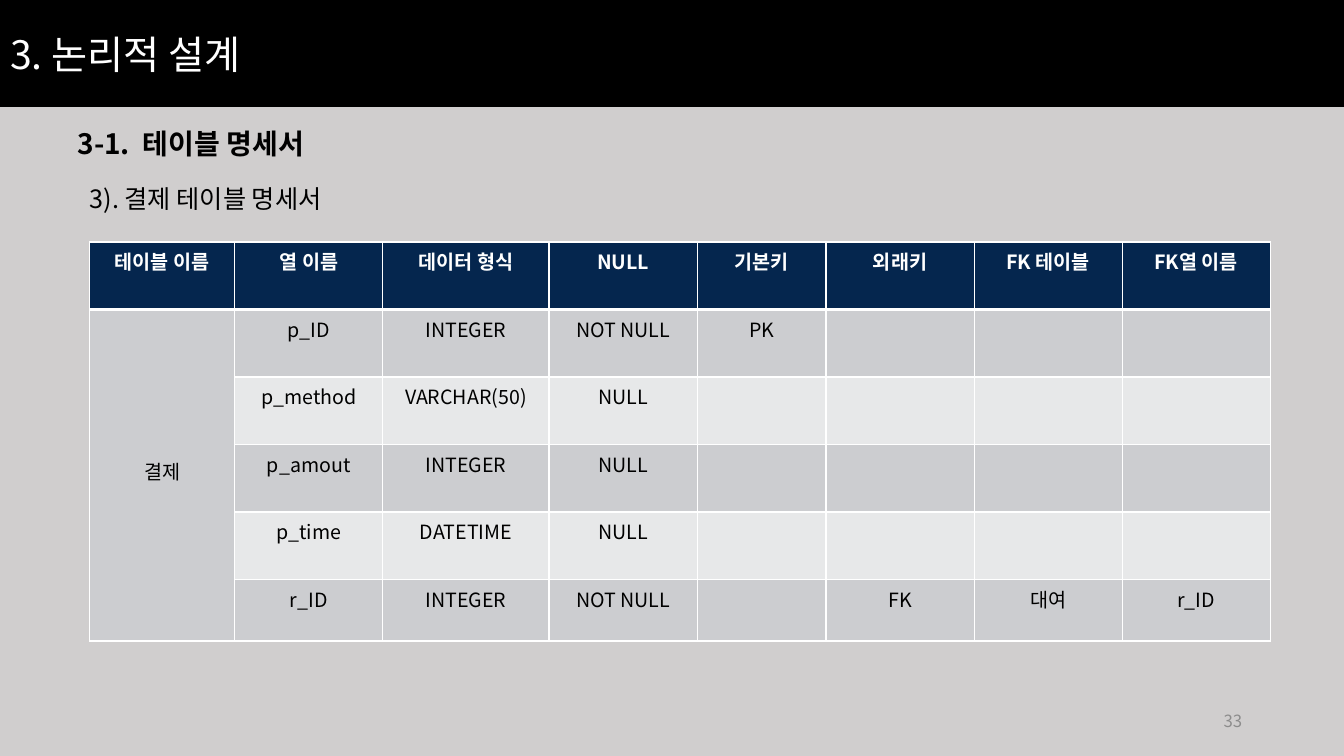
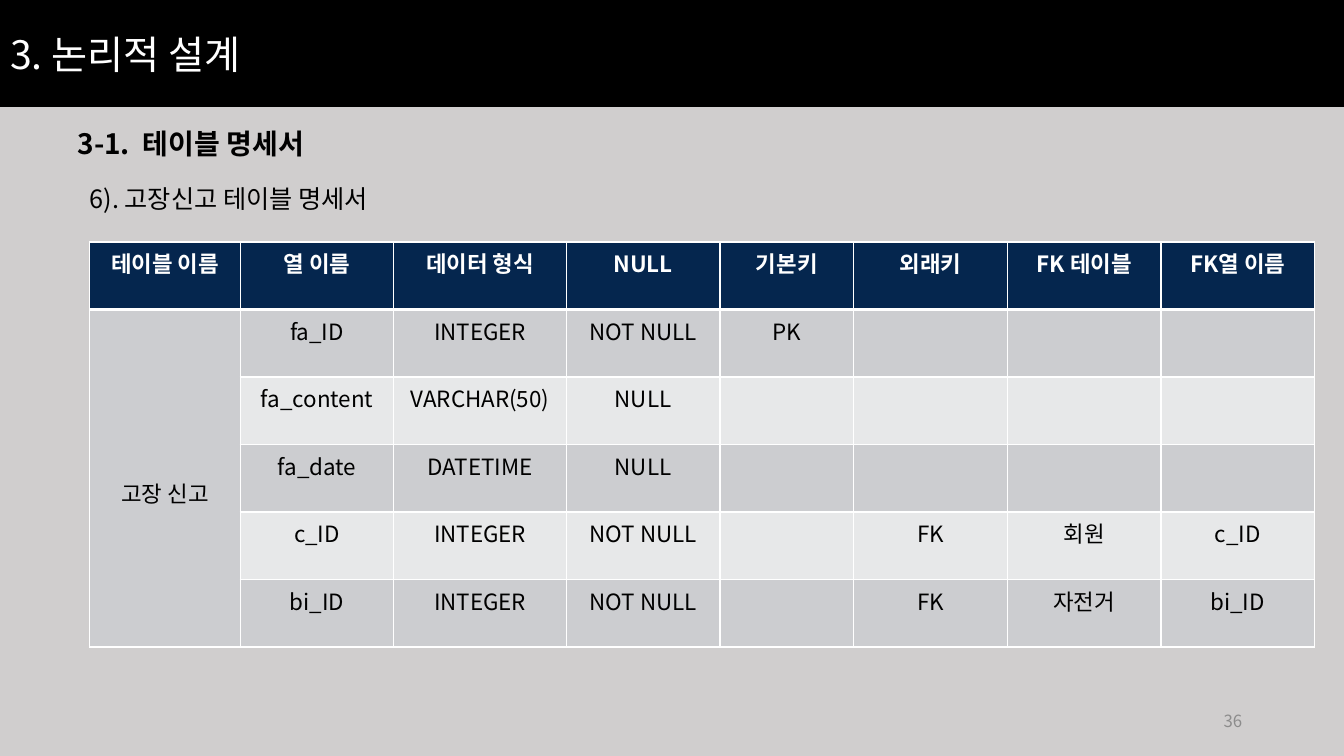
from dataclasses import dataclass
from typing import NamedTuple

from lxml.etree import SubElement
from pptx import Presentation
from pptx.dml.color import RGBColor
from pptx.enum.text import MSO_ANCHOR as Anchor, MSO_AUTO_SIZE as AutoSize, PP_ALIGN as Align
from pptx.oxml.ns import qn
from pptx.presentation import Presentation as PresentationType
from pptx.slide import Slide
from pptx.table import _Cell as Cell
from pptx.text.text import TextFrame
from pptx.util import Inches, Pt

FONT = "Noto Sans CJK KR"
BLACK, WHITE, GRAY = "000000", "FFFFFF", "8C8C8C"
BACKGROUND, NAVY = "D0CECE", "05264E"
BANDS = ("CCCDD0", "E7E8E9")
TITLE = "3. 논리적 설계"
SECTION = "3-1.  테이블 명세서"
HEADERS = ("테이블 이름", "열 이름", "데이터 형식", "NULL", "기본키", "외래키", "FK 테이블", "FK열 이름")
COLUMN_SHARES = (1.44, 1.47, 1.65, 1.47, 1.28, 1.47, 1.47, 1.47)
ROW_HEIGHT = 0.67
CELL_INSET = 0.05
LINE_SPACING = 1.45
NAME_LINE_OFFSET = 5


class Column(NamedTuple):
    """One column of a database table."""
    name: str
    data_type: str
    null: str = "NULL"
    primary_key: str = ""
    foreign_key: str = ""
    target_table: str = ""
    target_column: str = ""


@dataclass(frozen=True)
class Specification:
    """One slide that specifies a database table."""
    heading: str
    heading_width: float
    table_name: str
    columns: tuple[Column, ...]
    table_width: float
    font_size: int
    last_row_height: float
    page: str


SPECIFICATIONS = (
    Specification(
        "3). 결제 테이블 명세서", 2.76, "결제",
        (
            Column("p_ID", "INTEGER", "NOT NULL", "PK"),
            Column("p_method", "VARCHAR(50)"),
            Column("p_amout", "INTEGER"),
            Column("p_time", "DATETIME"),
            Column("r_ID", "INTEGER", "NOT NULL", "", "FK", "대여", "r_ID"),
        ),
        11.71, 14, 0.61, "33",
    ),
    Specification(
        "6). 고장신고 테이블 명세서", 3.26, "고장 신고",
        (
            Column("fa_ID", "INTEGER", "NOT NULL", "PK"),
            Column("fa_content", "VARCHAR(50)"),
            Column("fa_date", "DATETIME"),
            Column("c_ID", "INTEGER", "NOT NULL", "", "FK", "회원", "c_ID"),
            Column("bi_ID", "INTEGER", "NOT NULL", "", "FK", "자전거", "bi_ID"),
        ),
        12.15, 16, ROW_HEIGHT, "36",
    ),
)


def color(value: str) -> RGBColor:
    """Turn a hex string into a colour."""
    return RGBColor.from_string(value)


def write(frame: TextFrame, text: str, size: int, ink: str = BLACK,
          bold: bool = False, align: Align = Align.LEFT) -> None:
    """Put one formatted paragraph into a text frame."""
    frame.text = text
    paragraph = frame.paragraphs[0]
    paragraph.alignment = align
    font = paragraph.font
    font.size, font.bold, font.name = Pt(size), bold, FONT
    font.color.rgb = color(ink)
    properties = paragraph._p.pPr.find(qn("a:defRPr"))
    SubElement(properties, qn("a:ea"), typeface=FONT)


def add_label(slide: Slide, left: float, top: float, width: float, height: float,
              text: str, size: int, ink: str = BLACK, bold: bool = False,
              align: Align = Align.LEFT, anchor: Anchor = Anchor.TOP) -> None:
    """Add a text box with one line of text."""
    shape = slide.shapes.add_textbox(Inches(left), Inches(top), Inches(width), Inches(height))
    shape.text_frame.word_wrap = True
    shape.text_frame.vertical_anchor = anchor
    write(shape.text_frame, text, size, ink, bold, align)


def format_title(slide: Slide, width: int) -> None:
    """Turn the title placeholder into the black band."""
    title = slide.shapes.title
    title.left, title.top, title.width, title.height = 0, 0, width, Inches(1.06)
    title.fill.solid()
    title.fill.fore_color.rgb = color(BLACK)
    title.text_frame.auto_size = AutoSize.NONE
    title.text_frame.vertical_anchor = Anchor.MIDDLE
    write(title.text_frame, TITLE, 28, WHITE)


def style_cell(cell: Cell, row: int) -> None:
    """Set the borders and the fill that a cell has in its row."""
    properties = cell._tc.get_or_add_tcPr()
    widths = {"a:lnL": 1, "a:lnR": 1, "a:lnT": 3 if row == 1 else 1, "a:lnB": 3 if row == 0 else 1}
    for tag, points in widths.items():
        line = SubElement(properties, qn(tag), w=str(Pt(points)))
        SubElement(SubElement(line, qn("a:solidFill")), qn("a:srgbClr"), val=WHITE)
    cell.fill.solid()
    cell.fill.fore_color.rgb = color(NAVY if row == 0 else BANDS[(row - 1) % 2])


def add_specification_table(slide: Slide, specification: Specification) -> None:
    """Add the table that lists the columns of a database table."""
    rows = [HEADERS] + [("", *column) for column in specification.columns]
    heights = [ROW_HEIGHT] * (len(rows) - 1) + [specification.last_row_height]
    table = slide.shapes.add_table(
        len(rows), len(HEADERS), Inches(0.89), Inches(2.4),
        Inches(specification.table_width), Inches(sum(heights))).table
    for column, share in zip(table.columns, COLUMN_SHARES):
        column.width = Inches(specification.table_width * share / sum(COLUMN_SHARES))
    size = specification.font_size
    for row, (texts, height) in enumerate(zip(rows, heights)):
        table.rows[row].height = Inches(height)
        for position, text in enumerate(texts):
            cell = table.cell(row, position)
            style_cell(cell, row)
            if text:
                write(cell.text_frame, text, size, BLACK if row else WHITE, row == 0, Align.CENTER)
    name_cell = table.cell(1, 0)
    name_cell.merge(table.cell(len(rows) - 1, 0))
    name_cell.margin_top = Inches(CELL_INSET + NAME_LINE_OFFSET * size * LINE_SPACING / 72)
    write(name_cell.text_frame, specification.table_name, size, align=Align.CENTER)


def add_specification_slide(presentation: PresentationType, specification: Specification) -> None:
    """Add one table specification slide."""
    slide = presentation.slides.add_slide(presentation.slide_layouts.get_by_name("Title Only"))
    format_title(slide, presentation.slide_width)
    add_label(slide, 0.67, 1.21, 2.59, 0.44, SECTION, 20, bold=True)
    add_label(slide, 0.79, 1.77, specification.heading_width, 0.4, specification.heading, 18)
    add_specification_table(slide, specification)
    add_label(slide, 9.42, 6.95, 3, 0.4, specification.page, 12, GRAY,
              align=Align.RIGHT, anchor=Anchor.MIDDLE)


def main() -> None:
    """Build and save the presentation."""
    presentation = Presentation()
    presentation.slide_width, presentation.slide_height = Inches(13.33), Inches(7.5)
    background = presentation.slide_master.background.fill
    background.solid()
    background.fore_color.rgb = color(BACKGROUND)
    for specification in SPECIFICATIONS:
        add_specification_slide(presentation, specification)
    presentation.save("out.pptx")


if __name__ == "__main__":
    main()
